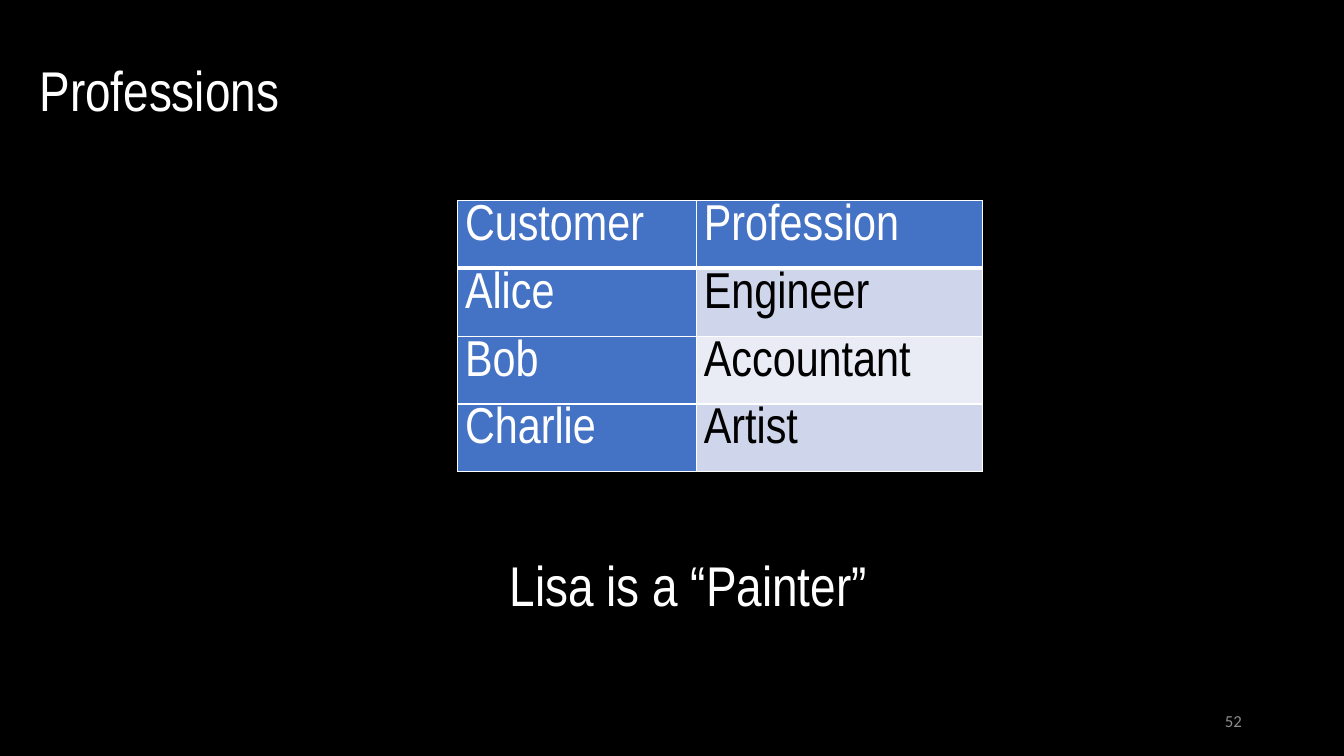
from lxml import etree
from pptx import Presentation
from pptx.dml.color import RGBColor
from pptx.enum.text import MSO_ANCHOR, PP_ALIGN
from pptx.oxml.ns import qn
from pptx.util import Cm, Pt

LEFT, RIGHT = PP_ALIGN.LEFT, PP_ALIGN.RIGHT
TOP, MIDDLE = MSO_ANCHOR.TOP, MSO_ANCHOR.MIDDLE
WHITE, BLACK, BLUE = "FFFFFF", "000000", "4472C4"
BANDS = ["CFD5EA", "E9EBF5"]


def color(value):
    return RGBColor.from_string(value)


def write(frame, text, size, font_name, font_color, alignment=LEFT):
    frame.text = text
    paragraph = frame.paragraphs[0]
    paragraph.alignment = alignment
    paragraph.font.size = Pt(size)
    paragraph.font.name = font_name
    paragraph.font.color.rgb = color(font_color)
    return paragraph


presentation = Presentation()
presentation.slide_width = Cm(33.87)
presentation.slide_height = Cm(19.05)
slide = presentation.slides.add_slide(presentation.slide_layouts[5])
slide.background.fill.solid()
slide.background.fill.fore_color.rgb = color(BLACK)

title = slide.shapes.title
title.left, title.top, title.width, title.height = Cm(0.74), Cm(1.27), Cm(20.24), Cm(1.96)
title.text_frame.vertical_anchor = TOP
write(title.text_frame, "Professions", 40, "Arial Narrow", WHITE)

rows = [
    ("Customer", "Profession"),
    ("Alice", "Engineer"),
    ("Bob", "Accountant"),
    ("Charlie", "Artist"),
]
column_widths = [Cm(6.02), Cm(7.21)]
row_height = Cm(1.71)
table = slide.shapes.add_table(
    len(rows), len(column_widths), Cm(11.53), Cm(5.05), sum(column_widths), row_height * len(rows)
).table
for column, width in zip(table.columns, column_widths):
    column.width = width

for row_index, row in enumerate(rows):
    table.rows[row_index].height = row_height
    for column_index, text in enumerate(row):
        cell = table.cell(row_index, column_index)
        cell.margin_left = cell.margin_right = Cm(0.19)
        cell.margin_top = cell.margin_bottom = 0
        is_heading = row_index == 0 or column_index == 0
        cell.fill.solid()
        cell.fill.fore_color.rgb = color(BLUE if is_heading else BANDS[(row_index - 1) % 2])
        paragraph = write(cell.text_frame, text, 36, "Arial Narrow", WHITE if is_heading else BLACK)
        paragraph.line_spacing = 1.07

        properties = cell._tc.get_or_add_tcPr()
        for position, side in enumerate(["lnL", "lnR", "lnT", "lnB"]):
            under_header = (row_index, side) in [(0, "lnB"), (1, "lnT")]
            border = etree.Element(qn(f"a:{side}"), w=str(Pt(3 if under_header else 1)))
            border_fill = etree.SubElement(border, qn("a:solidFill"))
            etree.SubElement(border_fill, qn("a:srgbClr"), val=WHITE)
            properties.insert(position, border)

statement = slide.shapes.add_textbox(Cm(12.6), Cm(13.74), Cm(9.78), Cm(1.96))
statement.text_frame.word_wrap = True
write(statement.text_frame, "Lisa is a “Painter”", 40, "Arial Narrow", WHITE)

slide_number = slide.shapes.add_textbox(Cm(23.93), Cm(17.65), Cm(7.62), Cm(1.02))
slide_number.text_frame.word_wrap = True
slide_number.text_frame.vertical_anchor = MIDDLE
write(slide_number.text_frame, "52", 12, "Calibri", "8C8C8C", RIGHT)

presentation.save("out.pptx")
